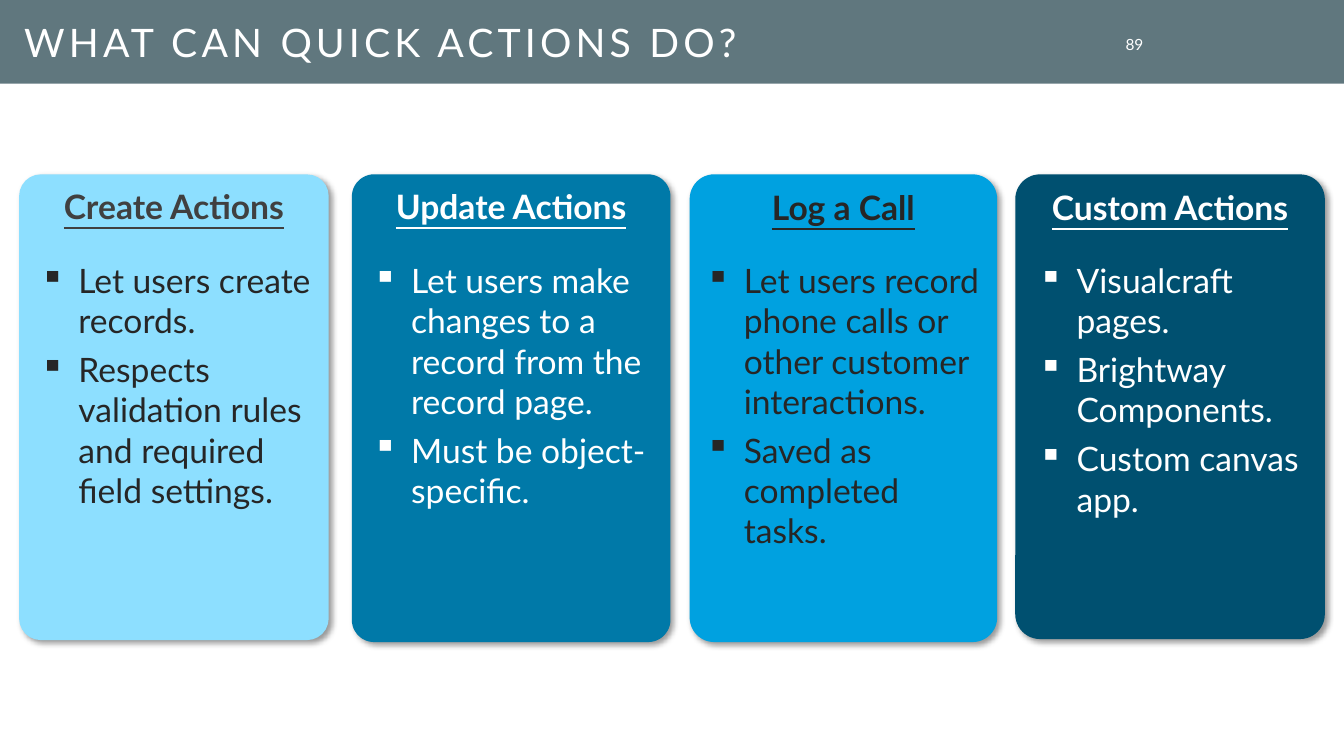
from lxml.etree import SubElement as Sub
from pptx import Presentation
from pptx.dml.color import RGBColor
from pptx.enum.shapes import MSO_SHAPE as Shape
from pptx.enum.text import MSO_ANCHOR as Anchor, MSO_AUTO_SIZE as Auto, PP_ALIGN as Align
from pptx.oxml.ns import qn
from pptx.util import Inches, Pt

WIDE, HIGH = 13.33, 7.5
BAR = 0.83
TOP, BODY = 1.73, 2.53
LEFT, STEP, COL = 0.3, 3.3, 2.94
FONT, WHITE, DARK = "Lato", "FFFFFF", "262626"

TITLE = "WHAT CAN QUICK ACTIONS DO?"
PAGE = "89"
# heading, bullets, card fill, heading colour, bullet colour, (left, width, height), corner
CARDS = [
    ("Create Actions",
     ["Let users create records.",
      "Respects validation rules and required field settings."],
     "8DDFFF", "404040", DARK, (0.19, 3.07, 4.62), 0.07),
    ("Update Actions",
     ["Let users make changes to a record from the record page.",
      "Must be object-specific."],
     "0079A8", WHITE, WHITE, (3.49, 3.16, 4.64), 0.07),
    ("Log a Call",
     ["Let users record phone calls or other customer interactions.",
      "Saved as completed tasks."],
     "00A1E0", DARK, DARK, (6.84, 3.05, 4.64), 0.08),
    ("Custom Actions",
     ["Visualcraft pages.", "Brightway Components.", "Custom canvas app."],
     "005070", WHITE, WHITE, (10.07, 3.07, 4.61), 0.08),
]


def rgb(code):
    return RGBColor.from_string(code)


def style(para, size, color, bold=False, line=False):
    font = para.font
    font.name, font.size = FONT, Pt(size)
    font.bold, font.underline = bold, line
    font.color.rgb = rgb(color)


def frame(shape, anchor, top=0.05, bottom=0.05):
    text = shape.text_frame
    text.word_wrap, text.auto_size = True, Auto.NONE
    text.vertical_anchor = anchor
    text.margin_left = text.margin_right = Inches(0.1)
    text.margin_top, text.margin_bottom = Inches(top), Inches(bottom)
    return text


def block(slide, kind, box, fill):
    """Add a filled shape without line or shadow."""
    shape = slide.shapes.add_shape(kind, *map(Inches, box))
    shape.fill.solid()
    shape.fill.fore_color.rgb = rgb(fill)
    shape.line.fill.background()
    shape.shadow.inherit = False
    return shape


def shade(shape):
    """Cast a soft shadow down and to the right."""
    effects = shape._element.spPr.find(qn("a:effectLst"))
    outer = Sub(effects, qn("a:outerShdw"), blurRad=str(Pt(4)), dist=str(Pt(3)),
                dir="2700000", algn="tl", rotWithShape="0")
    black = Sub(outer, qn("a:srgbClr"), val="000000")
    Sub(black, qn("a:alpha"), val="40000")


def bullet(para):
    props = para._p.get_or_add_pPr()
    props.set("marL", str(Inches(0.38)))
    props.set("indent", str(-Inches(0.38)))
    Sub(props, qn("a:buChar"), char="▪")


def header(slide):
    bar = block(slide, Shape.RECTANGLE, (0, 0, WIDE, BAR), "60777E")
    slide.shapes._spTree.insert(2, bar._element)

    title = slide.shapes.title
    title.left, title.top, title.width, title.height = map(Inches, (0.14, 0, 10.77, 0.82))
    text = frame(title, Anchor.MIDDLE, top=0.15)
    text.text = TITLE
    para = text.paragraphs[0]
    para.alignment, para.line_spacing = Align.LEFT, 0.8
    style(para, 28, WHITE)
    para.runs[0].font._element.set("spc", "300")

    page = slide.shapes.add_textbox(*map(Inches, (10.91, 0.33, 0.53, 0.22)))
    text = frame(page, Anchor.MIDDLE, 0, 0)
    text.text = PAGE
    text.paragraphs[0].alignment = Align.RIGHT
    style(text.paragraphs[0], 11, WHITE)


def card(slide, col, head, items, fill, ink, color, size, corner):
    left, width, height = size
    shape = block(slide, Shape.ROUNDED_RECTANGLE, (left, TOP, width, height), fill)
    shape.adjustments[0] = corner
    shade(shape)
    text = frame(shape, Anchor.TOP)
    text.text = head
    text.paragraphs[0].alignment = Align.CENTER
    style(text.paragraphs[0], 24, ink, bold=True, line=True)

    box = (LEFT + col * STEP, BODY, COL, TOP + height - BODY - 0.1)
    text = frame(slide.shapes.add_textbox(*map(Inches, box)), Anchor.TOP)
    for i, item in enumerate(items):
        para = text.add_paragraph() if i else text.paragraphs[0]
        para.text = item
        bullet(para)
        if i:
            para.space_before = Pt(6)
        style(para, 24, color)


def main():
    deck = Presentation()
    deck.slide_width, deck.slide_height = Inches(WIDE), Inches(HIGH)
    slide = deck.slides.add_slide(deck.slide_layouts[5])
    header(slide)
    for col, data in enumerate(CARDS):
        card(slide, col, *data)
    deck.save("out.pptx")


if __name__ == "__main__":
    main()
